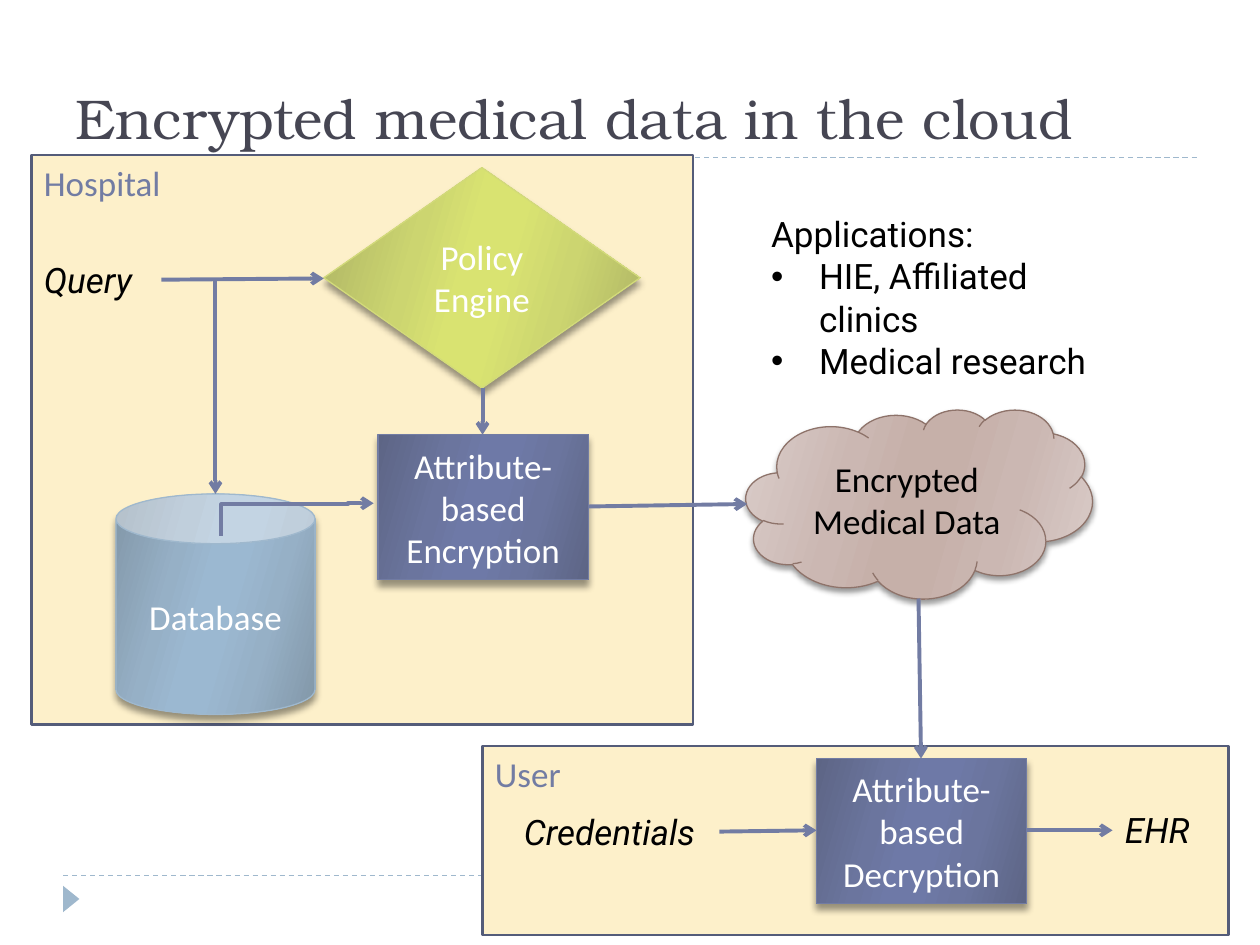
from lxml.etree import SubElement
from pptx import Presentation
from pptx.dml.color import RGBColor
from pptx.enum.dml import MSO_LINE
from pptx.enum.shapes import MSO_CONNECTOR, MSO_SHAPE
from pptx.enum.text import MSO_ANCHOR, MSO_AUTO_SIZE, PP_ALIGN
from pptx.oxml import parse_xml
from pptx.oxml.ns import nsdecls, qn
from pptx.util import Inches, Pt

BLACK = RGBColor(0x00, 0x00, 0x00)
WHITE = RGBColor(0xFF, 0xFF, 0xFF)
INK = RGBColor(0x46, 0x46, 0x53)
SKY = RGBColor(0x9F, 0xB8, 0xCD)
SLATE = RGBColor(0x72, 0x7C, 0xA3)
NAVY = RGBColor(0x54, 0x5C, 0x79)
CREAM = RGBColor(0xFD, 0xF0, 0xCA)
LIME = RGBColor(0xD2, 0xDA, 0x7A)
BROWN = RGBColor(0x8E, 0x73, 0x6A)

SKY_SHADES = [RGBColor.from_string(c) for c in ("8297A8", "96B0C6", "9BB8D1")]
LIME_SHADES = [RGBColor.from_string(c) for c in ("ACB264", "CCD570", "D9E371")]
SLATE_SHADES = [RGBColor.from_string(c) for c in ("5D6585", "6B759E", "6E79A7")]
ROSE_SHADES = [RGBColor.from_string(c) for c in ("DACDCA", "CBB7B2", "C6B0A9")]

LABEL = {"name": "Calibri", "size": Pt(20)}
NOTE = {"name": "Roboto", "size": Pt(20)}


def set_font(font, color, **formats):
    for name, value in formats.items():
        setattr(font, name, value)
    font.color.rgb = color


def set_text(tf, text, color, align, **formats):
    p = tf.paragraphs[0]
    p.alignment = align
    r = p.add_run()
    r.text = text
    set_font(r.font, color, **formats)


def add_plain(s, kind, box, fill, line=None):
    sp = s.shapes.add_shape(kind, *map(Inches, box))
    sp.shadow.inherit = False
    sp.fill.solid()
    sp.fill.fore_color.rgb = fill
    if line is None:
        sp.line.fill.background()
    else:
        sp.line.color.rgb = line
        sp.line.width = Pt(1.5)
    return sp


def add_panel(s, text, box):
    sp = add_plain(s, MSO_SHAPE.RECTANGLE, box, CREAM, NAVY)
    sp.text_frame.vertical_anchor = MSO_ANCHOR.TOP
    set_text(sp.text_frame, text, SLATE, PP_ALIGN.LEFT, **LABEL)


def add_node(s, kind, text, box, shades, line, color=WHITE, blur=4, dist=3.4):
    sp = add_plain(s, kind, box, shades[-1], line)
    sp.line.width = Pt(0.75)
    stops = zip((0, 30, 45, 55, 73, 100), shades + shades[::-1])
    gs = "".join(f'<a:gs pos="{pos * 1000}"><a:srgbClr val="{c}"/></a:gs>' for pos, c in stops)
    grad = parse_xml(f'<a:gradFill {nsdecls("a")} rotWithShape="1"><a:gsLst>{gs}</a:gsLst>'
                     '<a:lin ang="960000" scaled="0"/></a:gradFill>')
    spPr = sp._element.spPr
    spPr.replace(spPr.find(qn("a:solidFill")), grad)
    shadow = SubElement(spPr.find(qn("a:effectLst")), qn("a:outerShdw"),
                        blurRad=str(Pt(blur)), dist=str(Pt(dist)), dir="5400000", rotWithShape="0")
    clr = SubElement(shadow, qn("a:srgbClr"), val="000000")
    SubElement(clr, qn("a:alpha"), val="40000")
    sp.text_frame.vertical_anchor = MSO_ANCHOR.MIDDLE
    set_text(sp.text_frame, text, color, PP_ALIGN.CENTER, **LABEL)


def add_line(s, ends, color, width, kind=MSO_CONNECTOR.STRAIGHT):
    cx = s.shapes.add_connector(kind, *map(Inches, ends))
    cx.line.color.rgb = color
    cx.line.width = Pt(width)
    SubElement(cx._element.spPr, qn("a:effectLst"))
    return cx


def add_arrow(s, ends, kind=MSO_CONNECTOR.STRAIGHT):
    cx = add_line(s, ends, SLATE, 2.25, kind)
    SubElement(cx.line._get_or_add_ln(), qn("a:tailEnd"), type="arrow")
    return cx


def add_bent_arrow(s, ends, adjustments):
    spPr = add_arrow(s, ends, MSO_CONNECTOR.ELBOW)._element.spPr
    spPr.find(qn("a:xfrm")).set("rot", "5400000")
    geom = spPr.find(qn("a:prstGeom"))
    geom.set("prst", "bentConnector4")
    guides = geom.find(qn("a:avLst"))
    for i, value in enumerate(adjustments, 1):
        SubElement(guides, qn("a:gd"), name=f"adj{i}", fmla=f"val {round(value * 100000)}")


def add_note(s, text, box):
    tf = s.shapes.add_textbox(*map(Inches, box)).text_frame
    tf.word_wrap = False
    tf.auto_size = MSO_AUTO_SIZE.SHAPE_TO_FIT_TEXT
    set_text(tf, text, BLACK, PP_ALIGN.LEFT, italic=True, **NOTE)


def place(s, sp, box):
    sp.left, sp.top, sp.width, sp.height = map(Inches, box)
    s.shapes._spTree.append(sp._element)
    return sp.text_frame


def add_title(s, text):
    tf = place(s, s.shapes.title, (0.5, 0.25, 9, 1))
    tf.auto_size = MSO_AUTO_SIZE.NONE
    tf.vertical_anchor = MSO_ANCHOR.BOTTOM
    set_text(tf, text, INK, PP_ALIGN.LEFT, name="TeX Gyre Bonum", size=Pt(32))


def add_list(s, heading, items, box):
    tf = place(s, s.placeholders[1], box)
    tf.word_wrap = False
    tf.auto_size = MSO_AUTO_SIZE.SHAPE_TO_FIT_TEXT
    for i, text in enumerate([heading] + items):
        p = tf.paragraphs[0] if i == 0 else tf.add_paragraph()
        indent = Inches(0.38) if i else 0
        pPr = p._p.get_or_add_pPr()
        pPr.set("marL", str(indent))
        pPr.set("indent", str(-indent))
        p.space_before = Pt(0)
        if i:
            SubElement(pPr, qn("a:buFont"), typeface="Arial")
            SubElement(pPr, qn("a:buChar"), char="•")
        else:
            SubElement(pPr, qn("a:buNone"))
        r = p.add_run()
        r.text = text
        set_font(r.font, BLACK, **NOTE)


def add_decor(s):
    for y in (6.95, 1.25):
        add_line(s, (0.5, y, 9.5, y), SKY, 0.75).line.dash_style = MSO_LINE.DASH
    add_plain(s, MSO_SHAPE.ISOSCELES_TRIANGLE, (0.46, 7.07, 0.21, 0.13), SKY).rotation = 90


def main():
    prs = Presentation()
    prs.slide_width, prs.slide_height = Inches(10), Inches(7.5)
    s = prs.slides.add_slide(prs.slide_layouts[1])
    add_decor(s)
    add_panel(s, "User", (3.83, 5.92, 5.92, 1.5))
    add_panel(s, "Hospital", (0.25, 1.23, 5.25, 4.52))
    add_title(s, "Encrypted medical data in the cloud")

    add_node(s, MSO_SHAPE.CAN, "Database", (0.92, 3.92, 1.58, 1.75), SKY_SHADES, SKY)
    add_node(s, MSO_SHAPE.FLOWCHART_DECISION, "Policy Engine", (2.57, 1.33, 2.51, 1.75),
             LIME_SHADES, LIME)
    for text, left, top in (("Attribute-based Encryption", 3, 3.45),
                            ("Attribute-based Decryption", 6.48, 6.02)):
        add_node(s, MSO_SHAPE.RECTANGLE, text, (left, top, 1.67, 1.15), SLATE_SHADES, SLATE)
    add_node(s, MSO_SHAPE.CLOUD, "Encrypted Medical Data", (5.92, 3.25, 2.75, 1.5),
             ROSE_SHADES, BROWN, BLACK, blur=3, dist=2)

    for ends in ((1.28, 2.22, 2.57, 2.21), (1.71, 2.22, 1.71, 3.92),
                 (3.83, 3.08, 3.83, 3.45), (4.67, 4.02, 5.93, 4),
                 (7.29, 4.75, 7.31, 6.02), (5.71, 6.6, 6.48, 6.59),
                 (8.14, 6.59, 8.83, 6.59)):
        add_arrow(s, ends)
    add_bent_arrow(s, (2.49, 4.73, 2.23, 3.52), (0.97, 0.83))

    for text, box in (("Query", (0.25, 2, 1.03, 0.44)),
                      ("Credentials", (4.06, 6.38, 1.66, 0.44)),
                      ("EHR", (8.83, 6.37, 0.81, 0.44))):
        add_note(s, text, box)
    add_list(s, "Applications:", ["HIE, Affiliated clinics", "Medical research"],
             (6.02, 1.64, 3.09, 1.11))
    prs.save("out.pptx")


if __name__ == "__main__":
    main()
